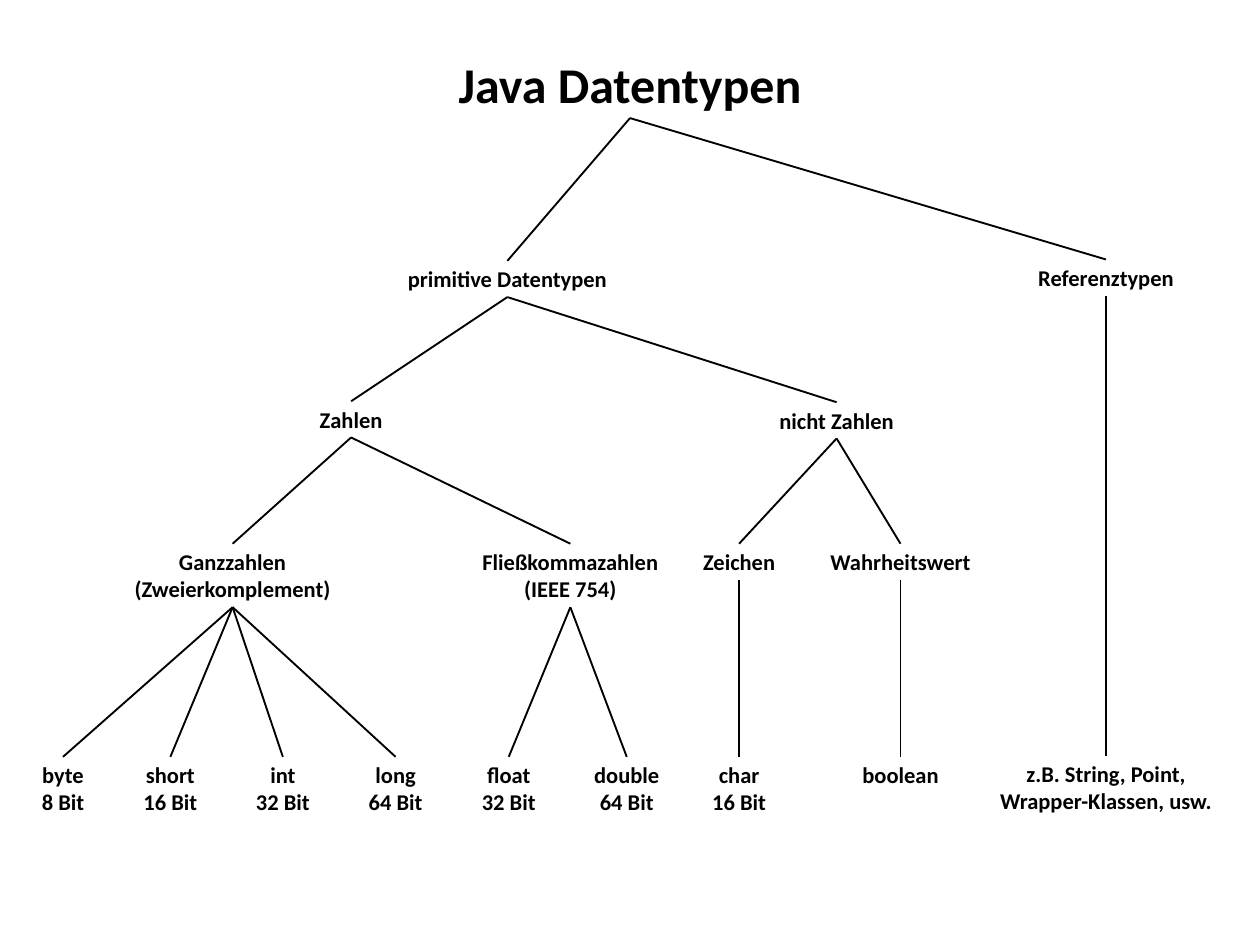
from dataclasses import dataclass

from pptx import Presentation
from pptx.dml.color import RGBColor
from pptx.enum.shapes import MSO_CONNECTOR as Connector
from pptx.enum.text import MSO_AUTO_SIZE as AutoSize, PP_ALIGN as Align
from pptx.oxml.ns import qn
from pptx.util import Pt
from lxml.etree import SubElement


@dataclass(frozen=True)
class Theme:
    font: str = "Calibri"
    ink: RGBColor = RGBColor(0, 0, 0)
    paper: RGBColor = RGBColor(255, 255, 255)
    title_size: float = 40
    label_size: float = 18
    line_width: float = 1.5


@dataclass(frozen=True)
class Node:
    lines: tuple
    center: float
    top: float
    width: float
    children: tuple = ()


THEME = Theme()
BRANCH_TOP = 435
LEAF_TOP = 605.5
BIT_WIDTH = 58.2


def leaf(name, bits, center, width=BIT_WIDTH):
    return Node((name, f"{bits} Bit"), center, LEAF_TOP, width)


def number_types():
    integers = Node(("Ganzzahlen", "(Zweierkomplement)"), 186.1, BRANCH_TOP, 172, (
        leaf("byte", 8, 50.4, 49),
        leaf("short", 16, 136.3),
        leaf("int", 32, 226.3),
        leaf("long", 64, 316.5),
    ))
    floats = Node(("Fließkommazahlen", "(IEEE 754)"), 456.3, BRANCH_TOP, 156.2, (
        leaf("float", 32, 407),
        leaf("double", 64, 501.4, 67),
    ))
    return Node(("Zahlen",), 280.9, 321, 64.8, (integers, floats))


def other_types():
    character = Node(("Zeichen",), 591.3, BRANCH_TOP, 72.7,
                     (leaf("char", 16, 591.3),))
    truth = Node(("Wahrheitswert",), 720.4, BRANCH_TOP, 127.4,
                 (Node(("boolean",), 720.4, LEAF_TOP, 75.6),))
    return Node(("nicht Zahlen",), 669.3, 321.8, 106.6, (character, truth))


def type_tree():
    primitives = Node(("primitive Datentypen",), 405.9, 208.7, 175,
                      (number_types(), other_types()))
    examples = Node(("z.B. String, Point,", "Wrapper-Klassen, usw."),
                    884.8, 604.8, 185.8)
    references = Node(("Referenztypen",), 884.8, 207.6, 123.8, (examples,))
    return Node(("Java Datentypen",), 504, 38.9, 292.3, (primitives, references))


def add_label(page, node, size):
    height = 7.2 + len(node.lines) * size * 1.21
    box = page.shapes.add_textbox(Pt(node.center - node.width / 2), Pt(node.top),
                                  Pt(node.width), Pt(height))
    frame = box.text_frame
    frame.word_wrap = False
    frame.auto_size = AutoSize.SHAPE_TO_FIT_TEXT
    for index, text in enumerate(node.lines):
        para = frame.add_paragraph() if index else frame.paragraphs[0]
        para.alignment = Align.CENTER
        span = para.add_run()
        span.text = text
        span.font.name = THEME.font
        span.font.size = Pt(size)
        span.font.bold = True
        span.font.color.rgb = THEME.ink
    return box


def add_branch(page, parent_box, child_box):
    line = page.shapes.add_connector(Connector.STRAIGHT, 0, 0, 0, 0)
    line.begin_connect(parent_box, 2)
    line.end_connect(child_box, 0)
    line.line.color.rgb = THEME.ink
    line.line.width = Pt(THEME.line_width)
    SubElement(line._element.spPr, qn("a:effectLst"))


def add_tree(page, node, size):
    box = add_label(page, node, size)
    for child in node.children:
        add_branch(page, box, add_tree(page, child, THEME.label_size))
    return box


def main():
    deck = Presentation()
    deck.slide_width, deck.slide_height = Pt(1008), Pt(756)
    page = deck.slides.add_slide(deck.slide_layouts[6])
    page.background.fill.solid()
    page.background.fill.fore_color.rgb = THEME.paper
    add_tree(page, type_tree(), THEME.title_size)
    deck.save("out.pptx")


main()
